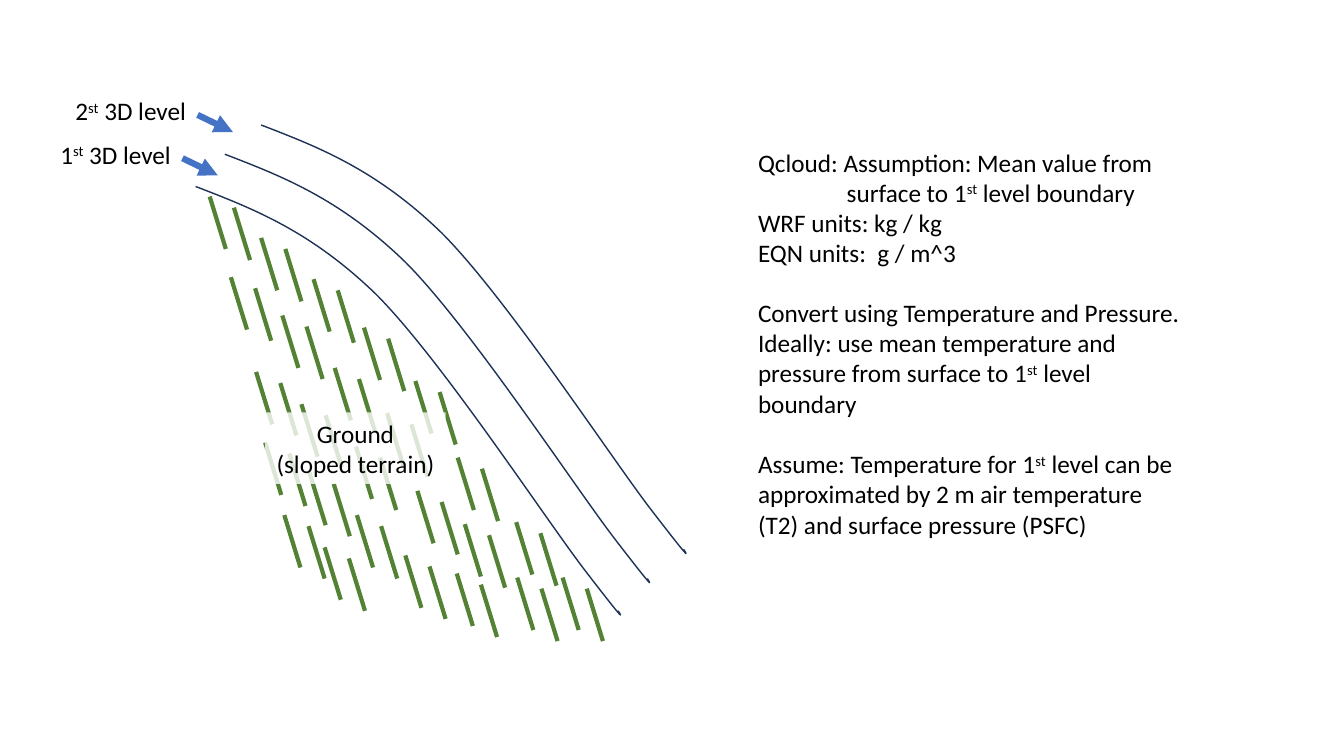
from lxml import etree
from pptx import Presentation
from pptx.dml.color import RGBColor
from pptx.enum import shapes, text
from pptx.oxml.ns import qn
from pptx.util import Inches, Pt

COLORS = {"level": "1E3256", "ground": "548235", "arrow": "4472C4",
          "text": "000000", "veil": "FFFFFF"}
FONT = "Calibri"

# Terrain profile relative to its start: two control points and an end per curve.
PROFILE = [
    [(0.57, 0.22), (1.14, 0.44), (1.79, 1.07)],
    [(2.43, 1.71), (3.47, 3.30), (3.87, 3.82)],
    [(4.27, 4.34), (4.23, 4.27), (4.19, 4.21)],
]
LEVEL_STARTS = [(1.94, 1.85), (2.23, 1.53), (2.59, 1.24)]

# Ground hatching: each start carries two parallel strokes.
STROKE = (0.16, 0.52)
PAIR_OFFSET = (0.24, 0.11)
HATCH_STARTS = [
    (2.08, 1.95), (2.59, 2.36), (3.11, 2.77), (3.61, 3.25), (4.12, 3.78),
    (4.54, 4.54), (5.12, 5.18), (5.58, 5.73),
    (2.29, 2.75), (2.80, 3.13), (3.32, 3.65), (3.84, 4.10),
    (2.54, 3.69), (2.99, 4.01), (3.53, 4.43), (4.14, 4.87), (4.61, 5.20),
    (5.13, 5.73), (4.53, 5.69), (4.02, 5.51), (3.54, 5.11), (3.07, 4.69),
    (2.63, 4.39), (2.82, 5.11), (3.22, 5.43),
]


def rgb(name):
    return RGBColor.from_string(COLORS[name])


def add_level(slide, left, top):
    """Draw the terrain profile as a smooth open curve."""
    builder = slide.shapes.build_freeform(Inches(left), Inches(top))
    ends = [(Inches(left + curve[-1][0]), Inches(top + curve[-1][1]))
            for curve in PROFILE]
    builder.add_line_segments(ends, close=False)
    level = builder.convert_to_shape()
    level.shadow.inherit = False
    level.fill.background()
    level.line.color.rgb = rgb("level")
    level.line.width = Pt(1)
    for segment, curve in zip(list(level._element.iter(qn("a:lnTo"))), PROFILE):
        bezier = etree.Element(qn("a:cubicBezTo"))
        for x, y in curve:
            etree.SubElement(bezier, qn("a:pt"), x=str(Inches(x)), y=str(Inches(y)))
        segment.getparent().replace(segment, bezier)


def add_line(slide, start, end, color, width, arrow=False):
    line = slide.shapes.add_connector(
        shapes.MSO_CONNECTOR.STRAIGHT, *map(Inches, (*start, *end)))
    line.line.color.rgb = rgb(color)
    line.line.width = Pt(width)
    if arrow:
        etree.SubElement(line.line._get_or_add_ln(), qn("a:tailEnd"), type="triangle")
    etree.SubElement(line._element.spPr, qn("a:effectLst"))


def add_hatch_pair(slide, x, y):
    dx, dy = PAIR_OFFSET
    for left, top in ((x, y), (x + dx, y + dy)):
        add_line(slide, (left, top), (left + STROKE[0], top + STROKE[1]), "ground", 3)


def write(frame, lines, wrap=True, align=None, hanging=0):
    """Fill a text frame; parts between bars are superscript."""
    frame.word_wrap = wrap
    frame.auto_size = text.MSO_AUTO_SIZE.SHAPE_TO_FIT_TEXT
    for number, line in enumerate(lines):
        paragraph = frame.add_paragraph() if number else frame.paragraphs[0]
        paragraph.alignment = align
        if hanging:
            properties = paragraph._p.get_or_add_pPr()
            properties.set("marL", str(Inches(hanging)))
            properties.set("indent", str(-Inches(hanging)))
        for index, part in enumerate(line.split("|")):
            run = paragraph.add_run()
            run.text = part
            run.font.name = FONT
            run.font.size = Pt(18)
            run.font.color.rgb = rgb("text")
            if index % 2:
                run._r.get_or_add_rPr().set("baseline", "30000")


def add_text(slide, box, lines, **options):
    textbox = slide.shapes.add_textbox(*map(Inches, box))
    write(textbox.text_frame, lines, **options)


def add_ground_label(slide):
    label = slide.shapes.add_shape(
        shapes.MSO_SHAPE.RECTANGLE, *map(Inches, (2.63, 4.09, 1.79, 0.71)))
    label.shadow.inherit = False
    label.line.fill.background()
    label.fill.solid()
    label.fill.fore_color.rgb = rgb("veil")
    fill_color = label._element.spPr.find(qn("a:solidFill"))[0]
    etree.SubElement(fill_color, qn("a:alpha"), val="80000")
    write(label.text_frame, ["Ground", "(sloped terrain)"],
          wrap=False, align=text.PP_ALIGN.CENTER)


def add_level_label(slide, left, top, label):
    add_text(slide, (left, top, 1.33, 0.4), [label], wrap=False)
    tail = (left + 1.31, top + 0.24)
    add_line(slide, tail, (tail[0] + 0.35, tail[1] + 0.17), "arrow", 4.5, arrow=True)


def main():
    deck = Presentation()
    deck.slide_width, deck.slide_height = Inches(13.33), Inches(7.5)
    slide = deck.slides.add_slide(deck.slide_layouts[6])

    for start in LEVEL_STARTS:
        add_level(slide, *start)
    for start in HATCH_STARTS:
        add_hatch_pair(slide, *start)
    add_ground_label(slide)
    add_level_label(slide, 0.5, 1.33, "1|st| 3D level")
    add_level_label(slide, 0.65, 0.9, "2|st| 3D level")

    add_text(slide, (7.42, 1.41, 4.33, 1.31), [
        "Qcloud: Assumption: Mean value from surface to 1|st| level boundary",
        "WRF units: kg / kg",
        "EQN units:  g / m^3",
    ], hanging=0.88)
    add_text(slide, (7.42, 2.9, 4.43, 1.31), [
        "Convert using Temperature and Pressure.",
        "Ideally: use mean temperature and pressure from surface to 1|st| level boundary",
    ])
    add_text(slide, (7.42, 4.4, 4.43, 1.01), [
        "Assume: Temperature for 1|st| level can be approximated by 2 m air "
        "temperature (T2) and surface pressure (PSFC)",
    ])
    deck.save("out.pptx")


if __name__ == "__main__":
    main()
